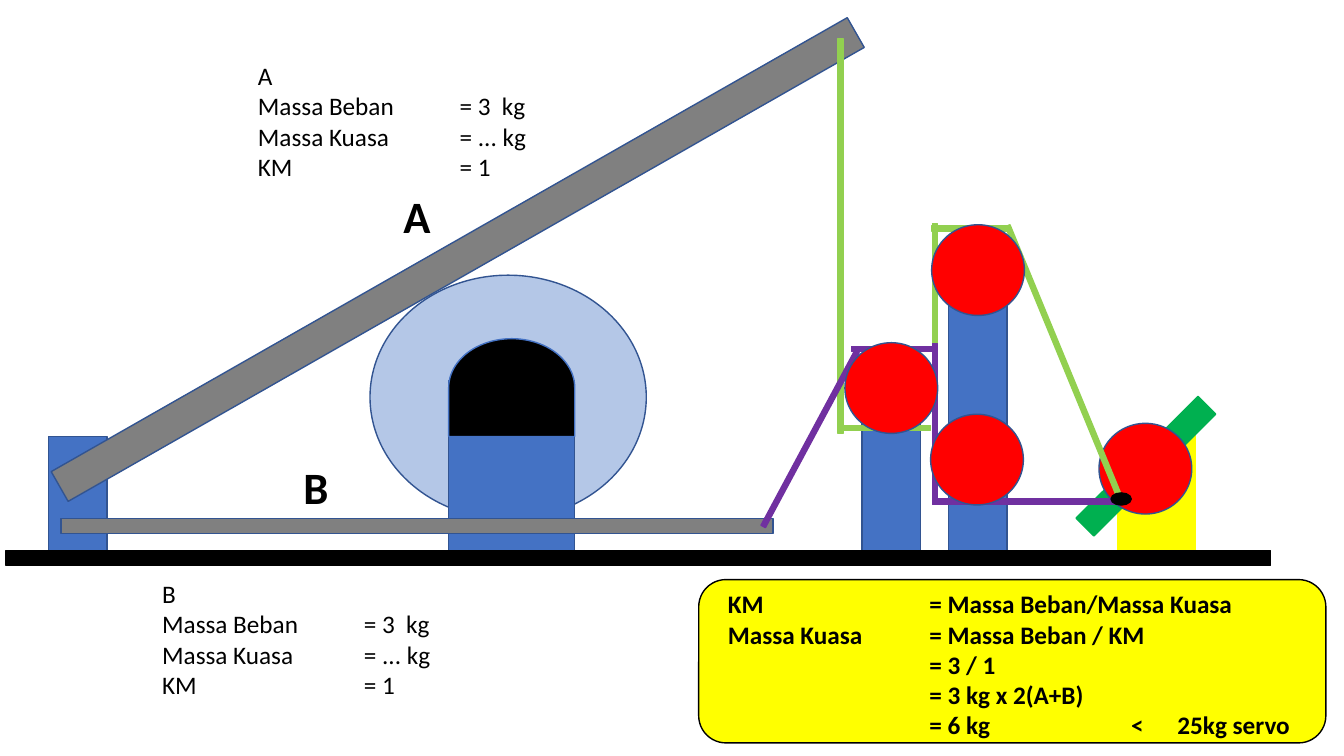
import pptx
import pptx.util
import pptx.dml.color
import pptx.enum.shapes
import pptx.enum.text
import pptx.oxml.ns
from lxml import etree

Inches = pptx.util.Inches
Pt = pptx.util.Pt
Shape = pptx.enum.shapes.MSO_SHAPE
Align = pptx.enum.text.PP_ALIGN

COLORS = {
    "blue": "4472C4", "outline": "325491", "pale": "B4C7E7", "gray": "808080",
    "lime": "92D050", "purple": "7030A0", "red": "FF0000", "green": "00B050",
    "yellow": "FFFF00", "black": "000000",
}

deck = pptx.Presentation()
deck.slide_width = Inches(13.33)
deck.slide_height = Inches(7.5)
page = deck.slides.add_slide(deck.slide_layouts[6])


def add_part(kind, left, top, width, height, fill, line=None, angle=0):
    """Add a filled shape; the outline takes the fill colour unless given."""
    part = page.shapes.add_shape(
        kind, Inches(left), Inches(top), Inches(width), Inches(height))
    part.shadow.inherit = False
    part.rotation = angle
    part.fill.solid()
    part.fill.fore_color.rgb = pptx.dml.color.RGBColor.from_string(COLORS[fill])
    part.line.color.rgb = pptx.dml.color.RGBColor.from_string(COLORS[line or fill])
    part.line.width = Pt(1)


def add_text(lines, left, top, width, height, size=18, bold=False,
             align=Align.LEFT, tabs=()):
    """Add one paragraph per line, with left tab stops given in inches."""
    box = page.shapes.add_textbox(
        Inches(left), Inches(top), Inches(width), Inches(height))
    box.text_frame.word_wrap = True
    box.text_frame.text = "\n".join(lines)
    for para in box.text_frame.paragraphs:
        para.alignment = align
        para.font.name = "Calibri"
        para.font.size = Pt(size)
        para.font.bold = bold
        para.font.color.rgb = pptx.dml.color.RGBColor.from_string(COLORS["black"])
        if tabs:
            tab_list = etree.Element(pptx.oxml.ns.qn("a:tabLst"))
            for stop in tabs:
                etree.SubElement(tab_list, pptx.oxml.ns.qn("a:tab"),
                                 pos=str(Inches(stop)), algn="l")
            properties = para._p.get_or_add_pPr()
            properties.find(pptx.oxml.ns.qn("a:defRPr")).addprevious(tab_list)


# Formula panel, wheel and axle
add_part(Shape.ROUNDED_RECTANGLE, 6.93, 5.75, 6.22, 1.62, "yellow", "black")
add_part(Shape.OVAL, 3.67, 2.73, 2.74, 2.42, "pale", "outline")
add_part(Shape.RECTANGLE, 4.45, 3.78, 1.25, 1.83, "blue", "outline")
add_part(Shape.FLOWCHART_DELAY, 4.59, 3.22, 0.97, 1.25, "black", "blue", 270)

# Hinge post, beams A and B, pulley posts
add_part(Shape.RECTANGLE, 0.48, 4.33, 0.58, 1.28, "blue", "outline")
add_part(Shape.RECTANGLE, 4.37, -1.97, 0.34, 9.09, "gray", "outline", 60.3)
add_part(Shape.RECTANGLE, 4.06, 1.69, 0.15, 7.06, "gray", "outline", 90)
for left, top in [(8.55, 3.89), (9.41, 2.69)]:
    add_part(Shape.RECTANGLE, left, top, 0.58, 5.59 - top, "blue", "outline")

# Cord of beam A
for left, top, length, angle in [
    (8.31, 0.38, 3.92, 0), (8.75, 3.79, 0.91, 90),
    (9.25, 2.22, 2.06, 0), (9.59, 1.89, 0.75, 90),
]:
    add_part(Shape.RECTANGLE, left, top, 0.05, length, "lime", angle=angle)

# Servo stand, floor and servo arm
add_part(Shape.RECTANGLE, 11.09, 4.32, 0.77, 1.29, "yellow")
add_part(Shape.RECTANGLE, 0.06, 5.46, 12.54, 0.15, "black")
add_part(Shape.RECTANGLE, 11.24, 3.77, 0.25, 1.71, "green", angle=45)

# Cord of beam B
for left, top, length, angle in [(8.01, 3.37, 1.97, 28.2), (9.25, 3.41, 1.59, 0)]:
    add_part(Shape.RECTANGLE, left, top, 0.05, length, "purple", angle=angle)

# Servo wheel with both cords tied to its pin
add_part(Shape.OVAL, 10.9, 4.2, 0.92, 0.9, "red", "outline")
add_part(Shape.RECTANGLE, 10.52, 2.13, 0.05, 2.89, "lime", angle=337.6)
add_part(Shape.RECTANGLE, 10.17, 4.03, 0.06, 1.89, "purple", angle=270)
add_part(Shape.OVAL, 11.02, 4.89, 0.2, 0.12, "black")

# Pulleys, with the cord that runs behind the left one
add_part(Shape.RECTANGLE, 8.83, 3.05, 0.05, 0.82, "purple", angle=270)
for left, top in [(9.23, 4.11), (9.24, 2.23), (8.38, 3.4)]:
    add_part(Shape.OVAL, left, top, 0.92, 0.9, "red", "outline")

# Beam labels and values
for name, label_left, label_top, left, top in [
    ("A", 3.9, 1.82, 2.46, 0.55), ("B", 2.9, 4.51, 1.51, 5.69),
]:
    add_text([name], label_left, label_top, 0.47, 0.64, 32, True, Align.CENTER)
    add_text([name, "Massa Beban\t= 3  kg", "Massa Kuasa\t= ... kg", "KM\t= 1"],
             left, top, 2.89, 1.31, tabs=[2])

add_text(["KM\t= Massa Beban/Massa Kuasa", "Massa Kuasa\t= Massa Beban / KM",
          "\t= 3 / 1", "\t= 3 kg x 2(A+B)", "\t= 6 kg\t<\t25kg servo"],
         7.12, 5.79, 5.81, 1.62, bold=True, tabs=[2, 4, 4.46])

deck.save("out.pptx")
